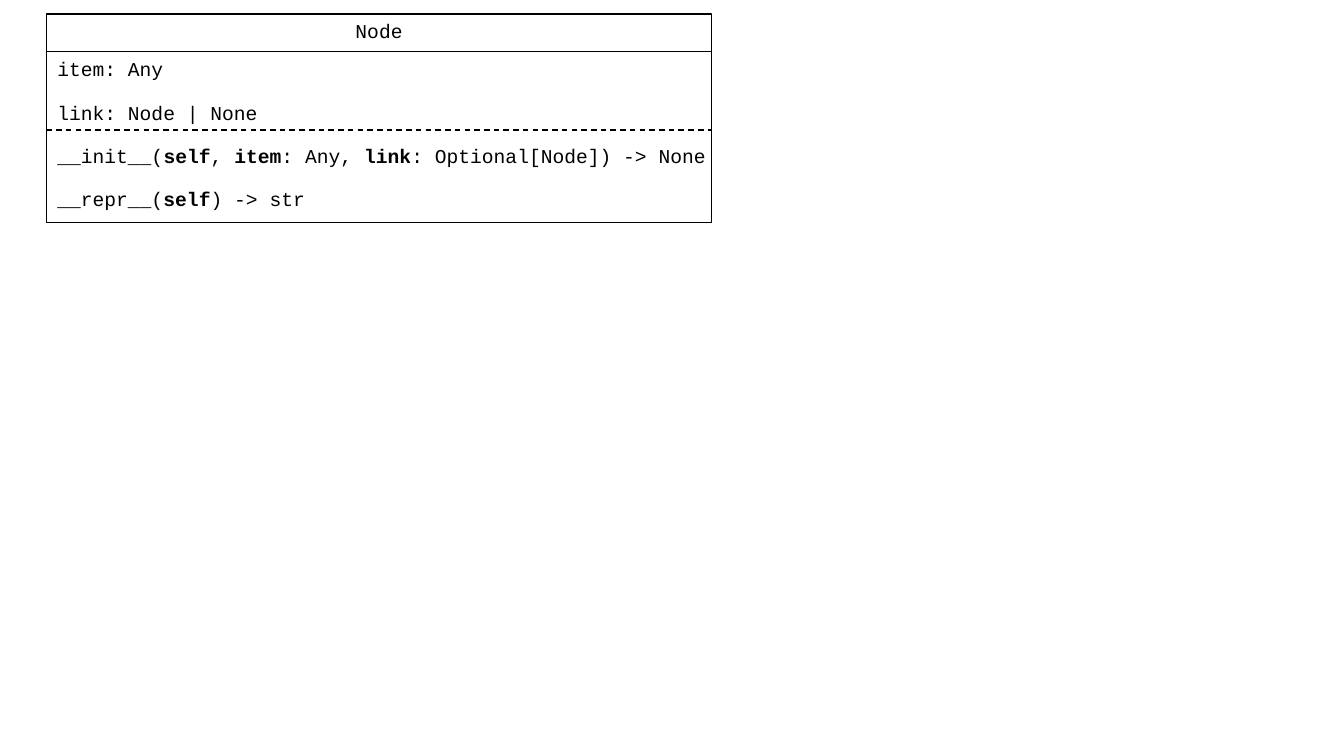
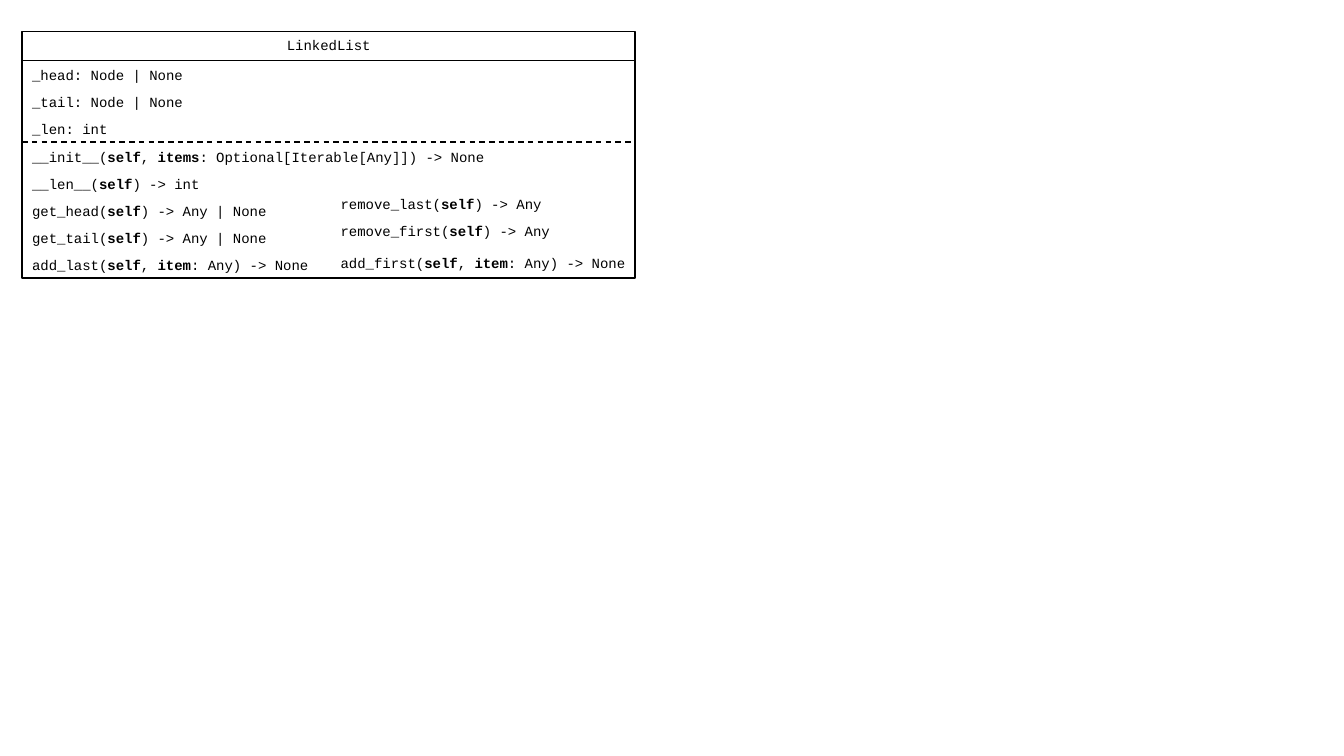
import pptx
import pptx.dml.color
import pptx.enum.dml
import pptx.enum.shapes
import pptx.enum.text
import pptx.oxml.ns
import pptx.util
import lxml.etree

FONT = "Courier New"
INK = "000000"
LINE_WIDTH = 1
INSET = 0.1
SLACK = 0.05
CHARACTER_SHARE = 0.6


def inches(value):
    """Turn a number of inches into a length."""
    return pptx.util.Inches(value)


def colour(code):
    """Turn a hex string into a colour."""
    return pptx.dml.color.RGBColor.from_string(code)


def line_height(size):
    """Return the height in inches of a one-line box for a text size."""
    return INSET + 0.017 * size


def text_width(text, size):
    """Return the width in inches of a box that holds monospaced text."""
    characters = len(text.replace("*", ""))
    return characters * CHARACTER_SHARE * size / 72 + 2 * INSET + SLACK


def add_text(page, text, left, top, size, width=None, align="LEFT"):
    """Add one line of text in which asterisks enclose bold spans."""
    width = width or text_width(text, size)
    box = page.shapes.add_textbox(
        inches(left), inches(top), inches(width), inches(line_height(size)))
    box.text_frame.word_wrap = True
    para = box.text_frame.paragraphs[0]
    para.alignment = getattr(pptx.enum.text.PP_ALIGN, align)
    for index, part in enumerate(text.split("*")):
        span = para.add_run()
        span.text = part
        span.font.name = FONT
        span.font.size = pptx.util.Pt(size)
        span.font.bold = index % 2 == 1
        span.font.color.rgb = colour(INK)


def style_line(line):
    """Give a line the shared colour and width."""
    line.color.rgb = colour(INK)
    line.width = pptx.util.Pt(LINE_WIDTH)


def add_frame(page, left, top, width, height):
    """Add the unfilled outline of a class."""
    frame = page.shapes.add_shape(
        pptx.enum.shapes.MSO_SHAPE.RECTANGLE,
        inches(left), inches(top), inches(width), inches(height))
    frame.shadow.inherit = False
    frame.fill.background()
    style_line(frame.line)


def add_divider(page, left, top, width, dashed=False):
    """Add a horizontal rule between two sections of a class."""
    rule = page.shapes.add_connector(
        pptx.enum.shapes.MSO_CONNECTOR.STRAIGHT,
        inches(left), inches(top), inches(left + width), inches(top))
    style_line(rule.line)
    if dashed:
        rule.line.dash_style = pptx.enum.dml.MSO_LINE.DASH
    properties = rule._element.spPr
    lxml.etree.SubElement(properties, pptx.oxml.ns.qn("a:effectLst"))


def add_members(page, members, left, top, pitch, size):
    """Add a column of members, one row each."""
    for row, member in enumerate(members):
        add_text(page, member, left, top + row * pitch, size)


def add_class(deck, name, fields, methods, frame, text_left, first_row,
              pitch, size, dividers):
    """Add a page with a class diagram and return the page."""
    page = deck.slides.add_slide(deck.slide_layouts[6])
    left, top, width, height = frame
    add_text(page, name, left, top, size, width=width, align="CENTER")
    add_members(page, fields + methods, text_left, first_row, pitch, size)
    add_frame(page, left, top, width, height)
    for divider, dashed in zip(dividers, (False, True)):
        add_divider(page, left, divider, width, dashed)
    return page


def main():
    """Build the deck."""
    deck = pptx.Presentation()
    deck.slide_width, deck.slide_height = inches(13.33), inches(7.5)

    add_class(
        deck, "Node",
        fields=["item: Any", "link: Node | None"],
        methods=["__init__(*self*, *item*: Any, *link*: Optional[Node]) -> None",
                 "__repr__(*self*) -> str"],
        frame=(0.46, 0.14, 6.6, 2.07), text_left=0.47, first_row=0.52,
        pitch=0.43, size=14, dividers=(0.51, 1.29))

    page = add_class(
        deck, "LinkedList",
        fields=["_head: Node | None", "_tail: Node | None", "_len: int"],
        methods=["__init__(*self*, *items*: Optional[Iterable[Any]]) -> None",
                 "__len__(*self*) -> int",
                 "get_head(*self*) -> Any | None",
                 "get_tail(*self*) -> Any | None",
                 "add_last(*self*, *item*: Any) -> None"],
        frame=(0.22, 0.31, 6.08, 2.45), text_left=0.22, first_row=0.61,
        pitch=0.27, size=10, dividers=(0.6, 1.41))
    second_column = 3.28
    add_members(page, ["remove_last(*self*) -> Any", "remove_first(*self*) -> Any"],
                second_column, 1.89, pitch=0.27, size=10)
    add_text(page, "add_first(*self*, *item*: Any) -> None", second_column, 2.48, 10)

    deck.save("out.pptx")


if __name__ == "__main__":
    main()
